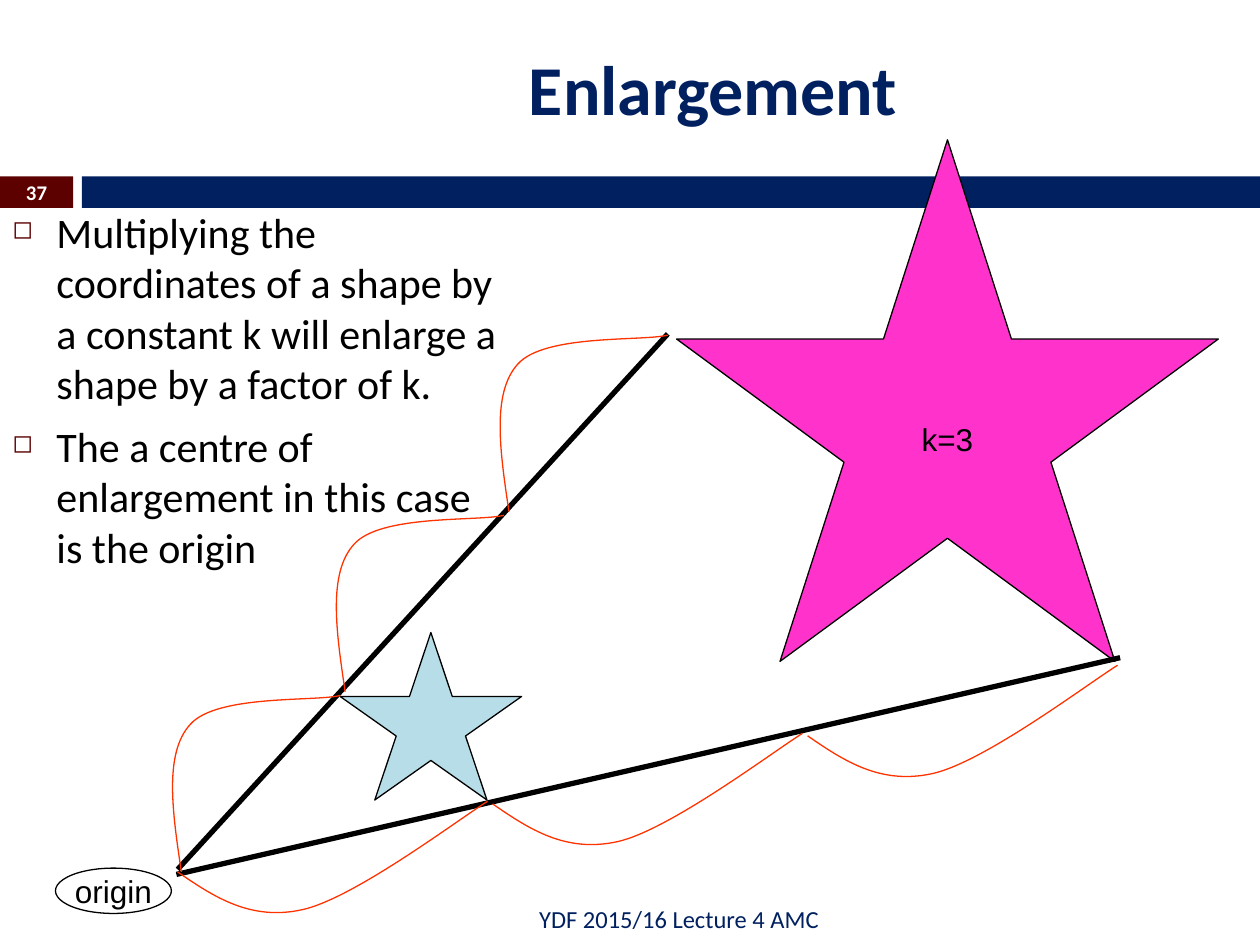
from lxml import etree
from pptx import Presentation, util as u
from pptx.dml.color import RGBColor
from pptx.enum import shapes, text
from pptx.oxml.ns import qn

THEME = {
    "navy": "002060", "maroon": "5C0000", "black": "000000", "white": "FFFFFF",
    "pale": "B7DEE8", "pink": "FF33CC", "orange": "FF3300",
    "heading": "Calibri", "label": "Arial",
    "title": 40, "body": 24, "diagram": 18, "footer": 14, "number": 11.9,
    "thin": 0.75, "thick": 3,
}
ALIGN, MIDDLE = text.PP_ALIGN, text.MSO_ANCHOR.MIDDLE
SHAPE = shapes.MSO_SHAPE

BULLETS = [
    "Multiplying the coordinates of a shape by a constant k will enlarge a shape by a factor of k.",
    "The a centre of enlargement in this case is the origin",
]
BARS = [((0, 1.4, 0.58, 0.25), "maroon"), ((0.65, 1.4, 9.35, 0.25), "navy")]
STARS = [((2.7, 5.02, 1.44, 1.33), "pale", ""), ((5.37, 1.11, 4.3, 4.14), "pink", "k=3")]
RAYS = [((1.41, 6.9), (5.3, 2.65)), ((1.4, 6.94), (8.89, 5.22))]
# Each arc family: first start, step to the next arc, Bezier points relative to the start
ARCS = [
    ((1.41, 6.92), (2.5, -0.54),
     [(0.29, 0.2), (0.58, 0.39), (0.99, 0.3), (1.4, 0.21), (2.22, -0.41), (2.46, -0.56)]),
    ((1.44, 6.92), (1.3, -1.43),
     [(-0.07, -0.47), (-0.14, -0.94), (0.07, -1.17), (0.28, -1.41), (1.06, -1.35),
      (1.26, -1.4)]),
]
SCALE_FACTOR = 3

deck = Presentation()
deck.slide_width, deck.slide_height = u.Inches(10), u.Inches(7.5)
page = deck.slides.add_slide(deck.slide_layouts[6])


def color(name):
    return RGBColor.from_string(THEME[name])


def apply(target, values):
    for name, value in values.items():
        setattr(target, name, value)


def outline(line, name, width):
    line.color.rgb = color(name)
    line.width = u.Pt(THEME[width])


def write(shape, lines, size, ink="black", face="heading", bold=False, align=ALIGN.LEFT,
          anchor=MIDDLE, wrap=True, bullet=False):
    frame = shape.text_frame
    apply(frame, {"word_wrap": wrap, "vertical_anchor": anchor})
    for index, line in enumerate(lines):
        para = frame.add_paragraph() if index else frame.paragraphs[0]
        para.alignment = align
        if index:
            para.space_before = u.Pt(7)
        if bullet:
            add_bullet(para)
        span = para.add_run()
        span.text = line
        apply(span.font, {"size": u.Pt(THEME[size]), "name": THEME[face], "bold": bold})
        span.font.color.rgb = color(ink)


def add_bullet(para):
    props = para._p.get_or_add_pPr()
    indent = u.Inches(0.35)
    props.set("marL", str(indent))
    props.set("indent", str(-indent))
    tint = etree.SubElement(props, qn("a:buClr"))
    etree.SubElement(tint, qn("a:srgbClr")).set("val", THEME["maroon"])
    etree.SubElement(props, qn("a:buSzPct")).set("val", "60000")
    etree.SubElement(props, qn("a:buChar")).set("char", "◻")


def add_box(place, *args, **options):
    box = page.shapes.add_textbox(*map(u.Inches, place))
    write(box, *args, **options)


def add_filled(kind, place, fill, border=True):
    shape = page.shapes.add_shape(kind, *map(u.Inches, place))
    shape.shadow.inherit = False
    shape.fill.solid()
    shape.fill.fore_color.rgb = color(fill)
    if border:
        outline(shape.line, "black", "thin")
    else:
        shape.line.fill.background()
    return shape


def add_label(shape, label):
    write(shape, [label], "diagram", face="label", align=ALIGN.CENTER, wrap=False)


def add_ray(start, end):
    ray = page.shapes.add_connector(shapes.MSO_CONNECTOR.STRAIGHT,
                                    *map(u.Inches, start + end))
    outline(ray.line, "black", "thick")
    etree.SubElement(ray._element.spPr, qn("a:effectLst"))


def add_arc(x, y, offsets):
    """Draw the control polygon, then join its segments by threes into cubic curves."""
    builder = page.shapes.build_freeform(u.Inches(x), u.Inches(y))
    builder.add_line_segments([(u.Inches(x + dx), u.Inches(y + dy)) for dx, dy in offsets],
                              close=False)
    arc = builder.convert_to_shape()
    segments = list(arc._element.iter(qn("a:lnTo")))
    for first in range(0, len(segments), 3):
        curve = etree.SubElement(segments[first].getparent(), qn("a:cubicBezTo"))
        for segment in segments[first:first + 3]:
            curve.append(segment[0])
            segment.getparent().remove(segment)
    arc.shadow.inherit = False
    arc.fill.background()
    outline(arc.line, "orange", "thin")


for place, fill in BARS:
    add_filled(SHAPE.RECTANGLE, place, fill, border=False)

add_box((4.1, 0.3, 5.4, 0.79), ["Enlargement"], "title", "navy", bold=True)
add_box((0, 1.59, 4.06, 4.95), BULLETS, "body", anchor=text.MSO_ANCHOR.TOP, bullet=True)
add_box((0.67, 7.09, 5.93, 0.4), ["YDF 2015/16 Lecture 4 AMC"], "footer", "navy",
        align=ALIGN.RIGHT)
add_box((0, 1.39, 0.58, 0.27), ["37"], "number", "white", bold=True, align=ALIGN.CENTER)

for place, fill, label in STARS:
    star = add_filled(SHAPE.STAR_5_POINT, place, fill)
    if label:
        add_label(star, label)

for start, end in RAYS:
    add_ray(start, end)

for (x, y), (dx, dy), offsets in ARCS:
    for index in range(SCALE_FACTOR):
        add_arc(x + index * dx, y + index * dy, offsets)

add_label(add_filled(SHAPE.OVAL, (0.44, 6.89, 0.92, 0.36), "white"), "origin")

deck.save("out.pptx")
